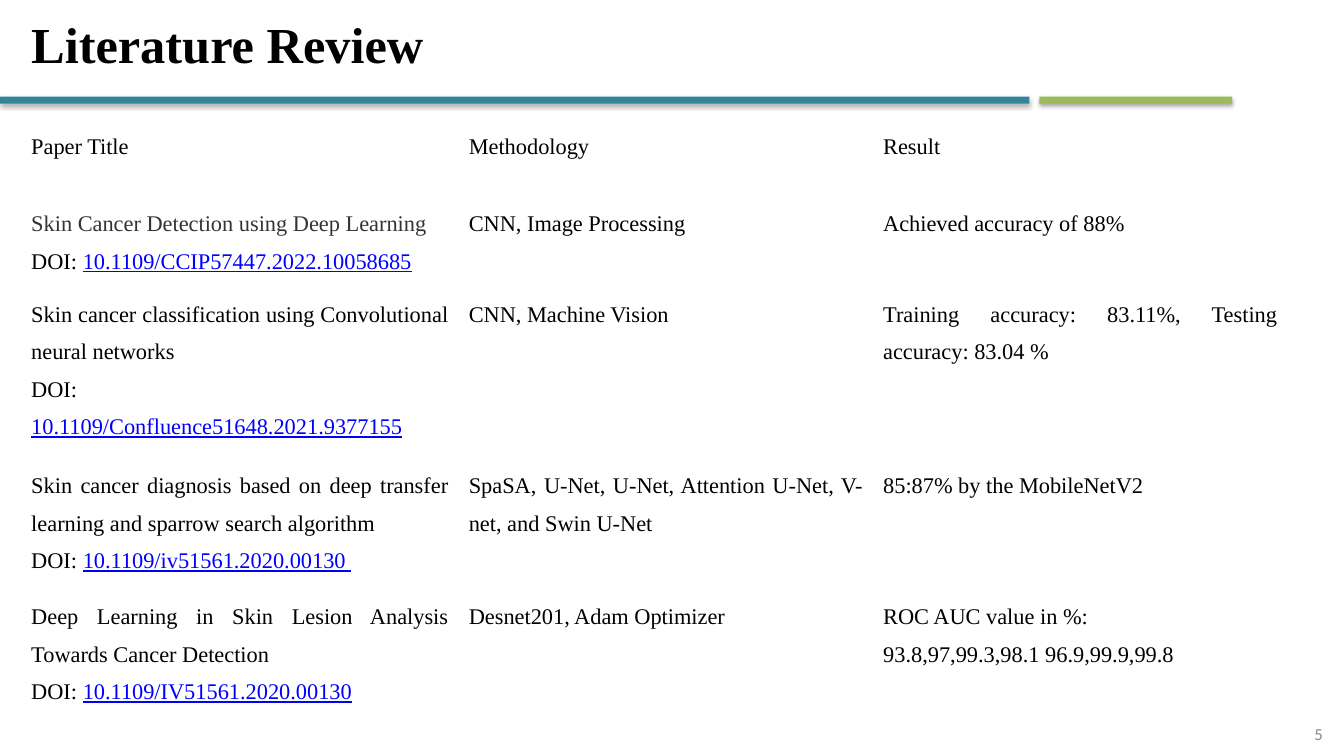
import pptx
import pptx.util
from lxml import etree
from pptx.dml.color import RGBColor
from pptx.enum.shapes import MSO_SHAPE
from pptx.enum.text import MSO_ANCHOR, PP_ALIGN
from pptx.oxml.ns import qn
from pptx.util import Inches, Pt

TEAL = RGBColor(0x31, 0x85, 0x9B)
GREEN = RGBColor(0x9B, 0xBB, 0x59)
BLACK = RGBColor(0, 0, 0)
DARK_GRAY = RGBColor(0x33, 0x33, 0x33)
GRAY = RGBColor(0x88, 0x88, 0x88)
LINK_BLUE = RGBColor(0, 0, 0xFF)

HEADERS = ["Paper Title", "Methodology", "Result"]
# Paper title, title colour, DOI, methodology, result lines
PAPERS = [
    ("Skin Cancer Detection using Deep Learning", DARK_GRAY,
     "10.1109/CCIP57447.2022.10058685",
     "CNN, Image Processing", ["Achieved accuracy of 88%"]),
    ("Skin cancer classification using Convolutional neural networks", BLACK,
     "10.1109/Confluence51648.2021.9377155",
     "CNN, Machine Vision",
     ["Training accuracy: 83.11%, Testing accuracy: 83.04 %"]),
    ("Skin cancer diagnosis based on deep transfer learning and sparrow search algorithm",
     BLACK, "10.1109/iv51561.2020.00130 ",
     "SpaSA, U-Net, U-Net, Attention U-Net, V-net, and Swin U-Net",
     ["85:87% by the MobileNetV2"]),
    ("Deep Learning in Skin Lesion Analysis Towards Cancer Detection", BLACK,
     "10.1109/IV51561.2020.00130",
     "Desnet201, Adam Optimizer",
     ["ROC AUC value in %:", "93.8,97,99.3,98.1 96.9,99.9,99.8"]),
]
COLUMN_WIDTHS = [4.34, 4.11, 4.11]
ROW_HEIGHTS = [0.77, 0.6, 1.05, 1.05, 1.05]


class SlideBuilder:
    serif = "Times New Roman"
    sans = "Calibri"

    def __init__(self, slide):
        self.s = slide

    def format_run(self, r, size, color, font=serif, bold=False, underline=False):
        r.font.size, r.font.name = Pt(size), font
        r.font.bold, r.font.underline = bold, underline
        r.font.color.rgb = color

    def title(self, text, left, top, width, height):
        sp = self.s.shapes.title
        sp.left, sp.top = Inches(left), Inches(top)
        sp.width, sp.height = Inches(width), Inches(height)
        tf = sp.text_frame
        tf.text = text
        tf.vertical_anchor = MSO_ANCHOR.MIDDLE
        p = tf.paragraphs[0]
        p.alignment = PP_ALIGN.JUSTIFY
        p.line_spacing, p.space_before = 0.9, Pt(10)
        self.format_run(p.runs[0], 36, BLACK, bold=True)

    def bar(self, left, top, width, height, color):
        """Add a borderless bar with a soft shadow below it."""
        sp = self.s.shapes.add_shape(MSO_SHAPE.RECTANGLE, Inches(left), Inches(top),
                                     Inches(width), Inches(height))
        sp.fill.solid()
        sp.fill.fore_color.rgb = color
        sp.line.fill.background()
        sp.shadow.inherit = False
        effects = sp._element.spPr.find(qn("a:effectLst"))
        shadow = etree.SubElement(effects, qn("a:outerShdw"), blurRad=str(Pt(3.1)),
                                  dist=str(Pt(1.8)), dir="5400000", rotWithShape="0")
        shade = etree.SubElement(shadow, qn("a:srgbClr"), val="000000")
        etree.SubElement(shade, qn("a:alpha"), val="35000")

    def page_number(self, text, left, top, width, height):
        sp = self.s.shapes.add_textbox(Inches(left), Inches(top),
                                       Inches(width), Inches(height))
        tf = sp.text_frame
        tf.word_wrap = True
        tf.vertical_anchor = MSO_ANCHOR.MIDDLE
        tf.text = text
        p = tf.paragraphs[0]
        p.alignment = PP_ALIGN.RIGHT
        self.format_run(p.runs[0], 12, GRAY, self.sans)

    def table(self, rows, left, top, width, height):
        tbl = self.s.shapes.add_table(len(rows), len(COLUMN_WIDTHS), Inches(left), Inches(top),
                                      Inches(width), Inches(height)).table
        tbl.first_row = tbl.horz_banding = False
        for column, w in zip(tbl.columns, COLUMN_WIDTHS):
            column.width = Inches(w)
        for row, h, contents in zip(tbl.rows, ROW_HEIGHTS, rows):
            row.height = Inches(h)
            for cell, paragraphs in zip(row.cells, contents):
                self.fill_cell(cell, paragraphs)

    def fill_cell(self, cell, paragraphs):
        """Write paragraphs, each a list of (text, colour) runs; links are underlined."""
        cell.fill.background()
        tf = cell.text_frame
        for i, runs in enumerate(paragraphs):
            p = tf.add_paragraph() if i else tf.paragraphs[0]
            p.alignment = PP_ALIGN.JUSTIFY
            p.line_spacing = 1.5
            for text, color in runs:
                r = p.add_run()
                r.text = text
                self.format_run(r, 16, color, underline=color == LINK_BLUE)


def table_rows():
    rows = [[[[(header, BLACK)]] for header in HEADERS]]
    for name, color, doi, method, results in PAPERS:
        rows.append([
            [[(name, color)], [("DOI: ", BLACK), (doi, LINK_BLUE)]],
            [[(method, BLACK)]],
            [[(result, BLACK)] for result in results],
        ])
    return rows


def main():
    prs = pptx.Presentation()
    prs.slide_width, prs.slide_height = Inches(13.33), Inches(7.5)
    title_only = prs.slide_layouts[5]
    builder = SlideBuilder(prs.slides.add_slide(title_only))
    builder.bar(10.31, 0.96, 1.91, 0.07, GREEN)
    builder.bar(0, 0.96, 10.21, 0.07, TEAL)
    builder.title("Literature Review", 0.21, 0.07, 12.1, 0.79)
    builder.page_number("5", 10.22, 7.13, 3, 0.3)
    builder.table(table_rows(), 0.21, 1.16, 12.56, 5.78)
    prs.save("out.pptx")


if __name__ == "__main__":
    main()
